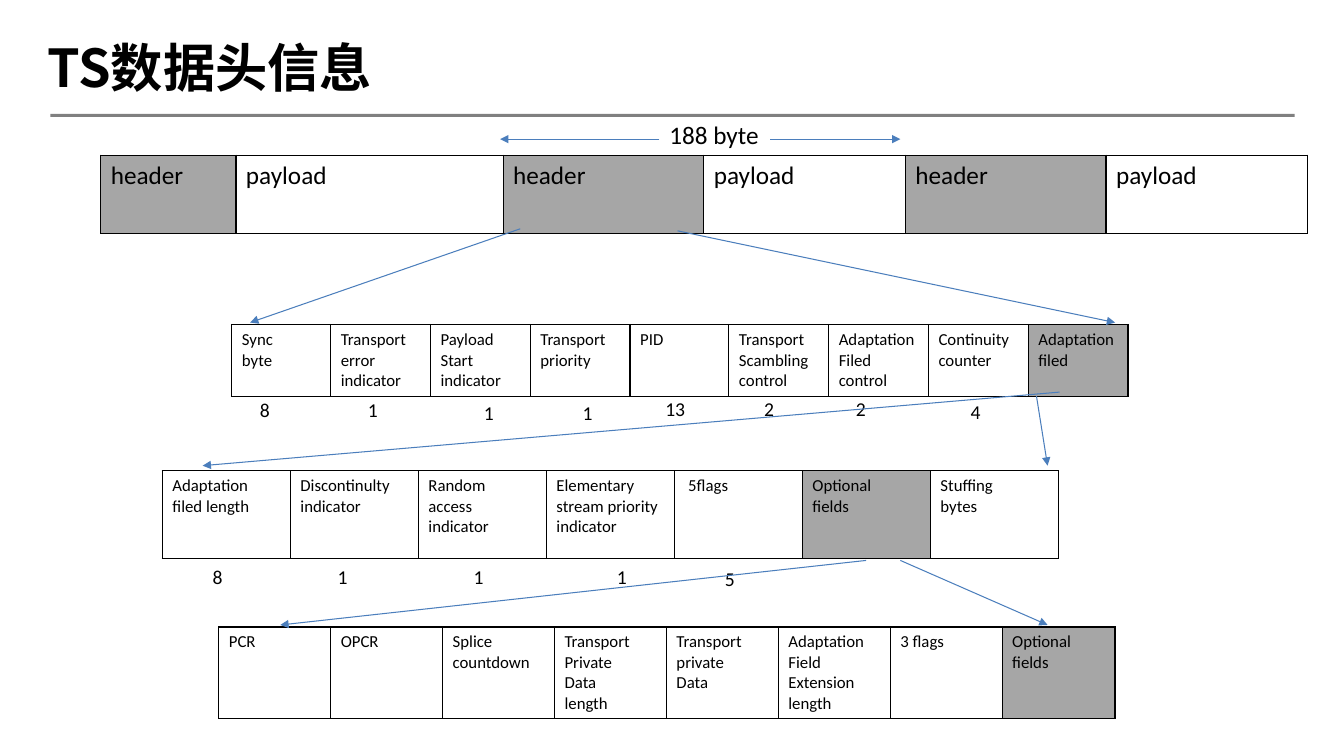
from lxml import etree
from pptx import Presentation
from pptx import util as u
from pptx.dml.color import RGBColor
from pptx.enum import shapes, text
from pptx.oxml import parse_xml
from pptx.oxml.ns import nsdecls, qn

PX = 9144  # EMU per px, 100 px to the inch
COLORS = {"ink": "000000", "rule": "808080", "shaded": "A6A6A6",
          "plain": "FFFFFF", "arrow": "4B7EBC"}
BODY, HEADING = "Calibri", "Noto Sans CJK SC"


def px(*lengths):
    return [u.Emu(n * PX) for n in lengths]


def rgb(name):
    return RGBColor.from_string(COLORS[name])


def even(total, n):
    """Split total into n whole widths that add up to it."""
    return [total * (i + 1) // n - total * i // n for i in range(n)]


def style_runs(tf, size, font=BODY, bold=False):
    for p in tf.paragraphs:
        for r in p.runs:
            r.font.size, r.font.name, r.font.bold = u.Pt(size), font, bold
            r.font.color.rgb = rgb("ink")
            ea = etree.SubElement(r._r.get_or_add_rPr(), qn("a:ea"))
            ea.set("typeface", font)


def add_title(s, words):
    tf = s.shapes.add_textbox(*px(37, 30, 1228, 72)).text_frame
    tf.word_wrap = True
    tf.vertical_anchor = text.MSO_ANCHOR.MIDDLE
    tf.text = words
    style_runs(tf, 37.3, HEADING, True)


def add_rule(s):
    sp = s.shapes.add_shape(shapes.MSO_SHAPE.RECTANGLE, *px(50, 113, 1234, 3))
    sp.shadow.inherit = False
    sp.fill.solid()
    sp.fill.fore_color.rgb = rgb("rule")
    sp.line.fill.background()


def add_label(s, words, x, y, w, h, size):
    tf = s.shapes.add_textbox(*px(x, y, w, h)).text_frame
    tf.word_wrap = False
    tf.auto_size = text.MSO_AUTO_SIZE.SHAPE_TO_FIT_TEXT
    tf.text = words
    style_runs(tf, size)


def add_borders(cell):
    tc_pr = cell._tc.get_or_add_tcPr()
    for side in "LRTB":
        tc_pr.append(parse_xml(
            f'<a:ln{side} {nsdecls("a")} w="12700"><a:solidFill>'
            f'<a:srgbClr val="{COLORS["ink"]}"/></a:solidFill></a:ln{side}>'))


def add_fields(s, x, y, h, widths, fields, shaded, size):
    """One-row table of packet fields; shaded holds the grey columns."""
    frame = s.shapes.add_table(1, len(fields), *px(x, y, sum(widths), h))
    table = frame.table
    table.first_row = table.horz_banding = False
    for i, (width, field) in enumerate(zip(widths, fields)):
        table.columns[i].width = px(width)[0]
        cell = table.cell(0, i)
        cell.text_frame.text = field
        style_runs(cell.text_frame, size)
        add_borders(cell)
        cell.fill.solid()
        cell.fill.fore_color.rgb = rgb("shaded" if i in shaded else "plain")


def add_arrow(s, *ends):
    cxn = s.shapes.add_connector(shapes.MSO_CONNECTOR.STRAIGHT, *px(*ends))
    cxn.line.color.rgb = rgb("arrow")
    cxn.line.width = u.Pt(0.75)
    tail = etree.SubElement(cxn.line._get_or_add_ln(), qn("a:tailEnd"))
    tail.set("type", "triangle")
    etree.SubElement(cxn._element.spPr, qn("a:effectLst"))


def main():
    prs = Presentation()
    prs.slide_width, prs.slide_height = px(1333, 750)
    s = prs.slides.add_slide(prs.slide_layouts[6])
    add_rule(s)
    add_title(s, "TS数据头信息")

    add_fields(s, 100, 154, 78, [134, 265] + [199, 200] * 2,
               ["header", "payload"] * 3, {0, 2, 4}, 18)
    add_fields(s, 230, 322, 71, even(889, 9), [
        "Sync\nbyte", "Transport error\nindicator",
        "Payload\nStart\nindicator", "Transport priority", "PID",
        "Transport\nScambling\ncontrol", "Adaptation\nFiled\ncontrol",
        "Continuity\ncounter", "Adaptation\nfiled"], {8}, 12)
    add_fields(s, 161, 467, 87, even(889, 7), [
        "Adaptation filed length", "Discontinulty indicator",
        "Random\naccess indicator", "Elementary stream priority indicator",
        " 5flags", "Optional\nfields", "Stuffing\nbytes"], {5}, 12)
    add_fields(s, 217, 622, 91, even(889, 8), [
        "PCR", "OPCR", "Splice countdown",
        "Transport\nPrivate\nData\nlength", "Transport\nprivate\nData",
        "Adaptation\nField\nExtension\nlength", "3 flags",
        "Optional\nfields"], {7}, 12)

    bit_counts = [
        ("8", 248, 390), ("1", 355, 390), ("1", 470, 393), ("1", 568, 393),
        ("13", 650, 389), ("2", 748, 389), ("2", 839, 389), ("4", 953, 392),
        ("8", 201, 556), ("1", 325, 556), ("1", 460, 556), ("1", 602, 556),
        ("5", 709, 558)]
    for bits, x, y in bit_counts:
        add_label(s, bits, x, y, 20 + 10 * len(bits), 34, 14)

    for ends in [
            (764, 138, 893, 138), (654, 138, 496, 138),
            (859, 556, 278, 620), (893, 556, 1039, 620),
            (1051, 389, 201, 462), (1028, 393, 1039, 462),
            (516, 227, 248, 320), (672, 229, 1106, 320)]:
        add_arrow(s, *ends)
    add_label(s, "188 byte", 654, 113, 110, 40, 18)

    prs.save("out.pptx")


if __name__ == "__main__":
    main()
